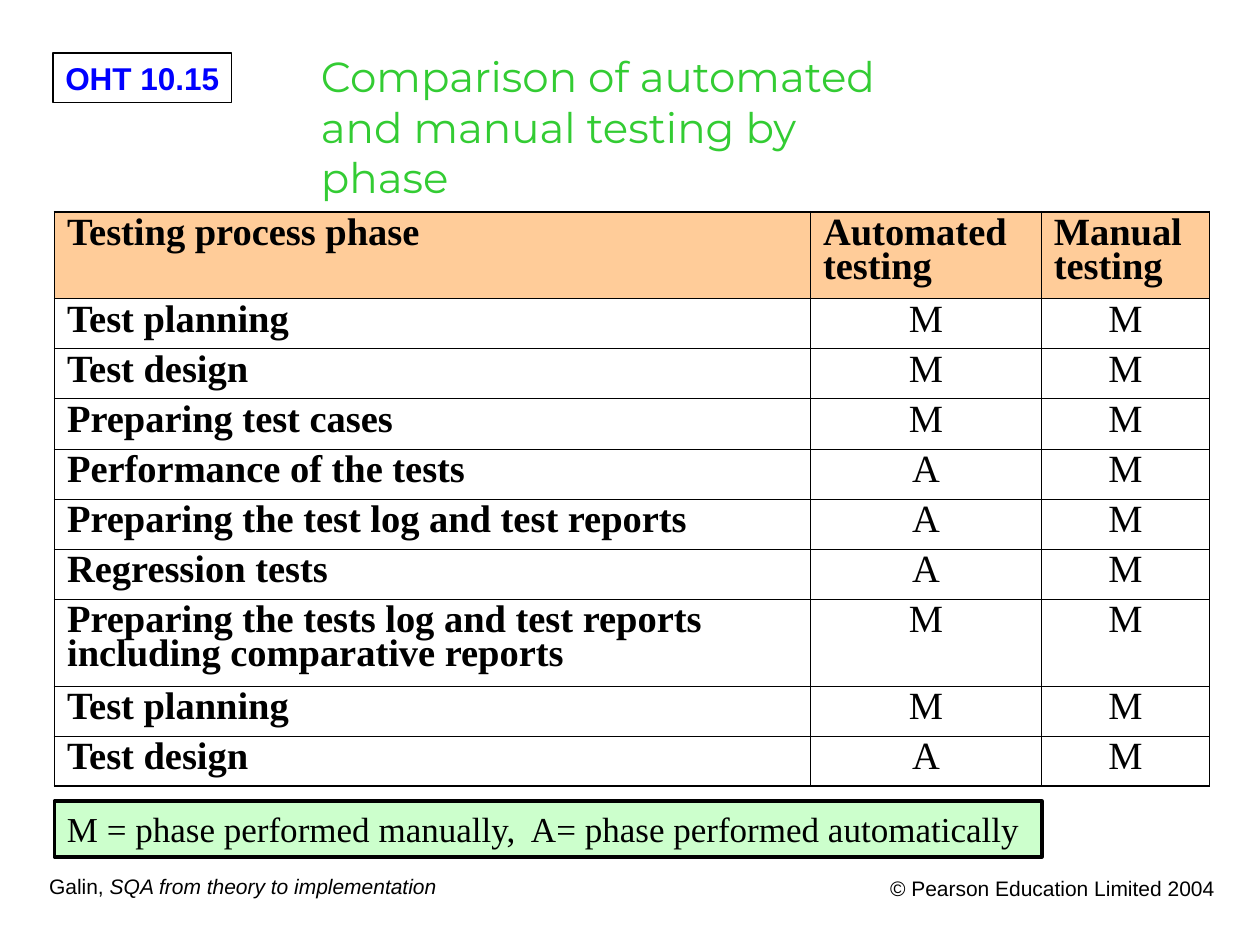
"""Build the slide comparing automated and manual testing by phase."""
from dataclasses import dataclass

from lxml import etree
from pptx import Presentation
from pptx.dml.color import RGBColor
from pptx.enum.shapes import MSO_SHAPE
from pptx.enum.text import MSO_ANCHOR, PP_ALIGN
from pptx.oxml.ns import qn
from pptx.util import Cm, Pt

RECT = MSO_SHAPE.RECTANGLE
MIDDLE = MSO_ANCHOR.MIDDLE
LEFT, CENTER, RIGHT = PP_ALIGN.LEFT, PP_ALIGN.CENTER, PP_ALIGN.RIGHT


@dataclass(frozen=True)
class Theme:
    sans: str = "Arial"
    serif: str = "Times New Roman"
    display: str = "Montserrat"
    ink: str = "000000"
    label: str = "0000FF"
    title: str = "33CC33"
    header_fill: str = "FFCC99"
    legend_fill: str = "CCFFCC"
    title_size: float = 24
    table_size: float = 22
    legend_size: float = 20
    label_size: float = 18
    footer_size: float = 12
    thin: float = 0.45
    outer: float = 1.08


THEME = Theme()
COL_WIDTHS = (15.24, 4.65, 3.39)
ROW_HEIGHT, TALL_ROW = 1.01, 1.75
TALL_ROWS = (0, 7)
ROWS = (
    ("Testing process phase", "Automated testing", "Manual testing"),
    ("Test planning", "M", "M"),
    ("Test design", "M", "M"),
    ("Preparing test cases", "M", "M"),
    ("Performance of the tests", "A", "M"),
    ("Preparing the test log and test reports", "A", "M"),
    ("Regression tests", "A", "M"),
    ("Preparing the tests log and test reports including comparative reports", "M", "M"),
    ("Test planning", "M", "M"),
    ("Test design", "A", "M"),
)


def style(tf, font, size, color, bold=False, align=LEFT):
    for p in tf.paragraphs:
        p.alignment = align
        for r in p.runs:
            r.font.name = font
            r.font.size = Pt(size)
            r.font.bold = bold
            r.font.color.rgb = RGBColor.from_string(color)


def add_text(slide, box, text, font, size, color, align=LEFT, wrap=False):
    tf = slide.shapes.add_textbox(*map(Cm, box)).text_frame
    tf.word_wrap = wrap
    tf.text = text
    style(tf, font, size, color, align=align)
    return tf


def add_box(slide, box, text, font, size, color, line_width, fill=None, bold=False, align=LEFT):
    sp = slide.shapes.add_shape(RECT, *map(Cm, box))
    sp.shadow.inherit = False
    if fill:
        sp.fill.solid()
        sp.fill.fore_color.rgb = RGBColor.from_string(fill)
    else:
        sp.fill.background()
    sp.line.color.rgb = RGBColor.from_string(THEME.ink)
    sp.line.width = Pt(line_width)
    tf = sp.text_frame
    tf.word_wrap = False
    tf.vertical_anchor = MIDDLE
    tf.text = text
    style(tf, font, size, color, bold, align)


def set_borders(cell, outer_sides):
    tc_pr = cell._tc.get_or_add_tcPr()
    for side in "LRTB":
        width = THEME.outer if side in outer_sides else THEME.thin
        ln = etree.SubElement(tc_pr, qn(f"a:ln{side}"), w=str(Pt(width)))
        fill = etree.SubElement(ln, qn("a:solidFill"))
        etree.SubElement(fill, qn("a:srgbClr"), val=THEME.ink)


def fill_cell(cell, text, is_header, is_phase, outer_sides):
    set_borders(cell, outer_sides)
    if is_header:
        cell.fill.solid()
        cell.fill.fore_color.rgb = RGBColor.from_string(THEME.header_fill)
    else:
        cell.fill.background()
    tf = cell.text_frame
    tf.text = text
    tf.paragraphs[0].line_spacing = 0.8
    heading = is_header or is_phase
    style(tf, THEME.serif, THEME.table_size, THEME.ink, heading, LEFT if heading else CENTER)


def add_phase_table(slide, left, top):
    heights = [TALL_ROW if i in TALL_ROWS else ROW_HEIGHT for i in range(len(ROWS))]
    size = (Cm(sum(COL_WIDTHS)), Cm(sum(heights)))
    table = slide.shapes.add_table(len(ROWS), len(COL_WIDTHS), Cm(left), Cm(top), *size).table
    table.first_row = table.horz_banding = False
    for col, width in zip(table.columns, COL_WIDTHS):
        col.width = Cm(width)
    last_row, last_col = len(ROWS) - 1, len(COL_WIDTHS) - 1
    for i, (row, height) in enumerate(zip(ROWS, heights)):
        table.rows[i].height = Cm(height)
        for j, text in enumerate(row):
            edges = {"L": j == 0, "R": j == last_col, "T": i == 0, "B": i == last_row}
            outer = [side for side, on_edge in edges.items() if on_edge]
            fill_cell(table.cell(i, j), text, i == 0, j == 0, outer)


def main():
    prs = Presentation()
    prs.slide_width, prs.slide_height = Cm(25.4), Cm(19.05)
    s = prs.slides.add_slide(prs.slide_layouts[6])

    add_box(s, (1.07, 1.07, 3.6, 1.0), "OHT 10.15", THEME.sans, THEME.label_size,
            THEME.label, 0.75, bold=True, align=CENTER)
    footer = add_text(s, (0.74, 17.48, 8.33, 0.76), "Galin, ", THEME.sans,
                      THEME.footer_size, THEME.ink)
    r = footer.paragraphs[0].add_run()
    r.text = "SQA from theory to implementation"
    style(footer, THEME.sans, THEME.footer_size, THEME.ink)
    r.font.italic = True
    add_text(s, (16.87, 17.53, 7.87, 1.0), "© Pearson Education Limited 2004", THEME.sans,
             THEME.footer_size, THEME.ink, RIGHT, wrap=True)
    add_phase_table(s, 1.1, 4.27)
    add_box(s, (1.1, 16.15, 19.9, 1.12),
            "M = phase performed manually,  A= phase performed automatically",
            THEME.serif, THEME.legend_size, THEME.ink, 2.25, THEME.legend_fill)
    add_text(s, (6.22, 0.9, 12.85, 3.02), "Comparison of automated\nand manual testing by phase",
             THEME.display, THEME.title_size, THEME.title)

    prs.save("out.pptx")


if __name__ == "__main__":
    main()
